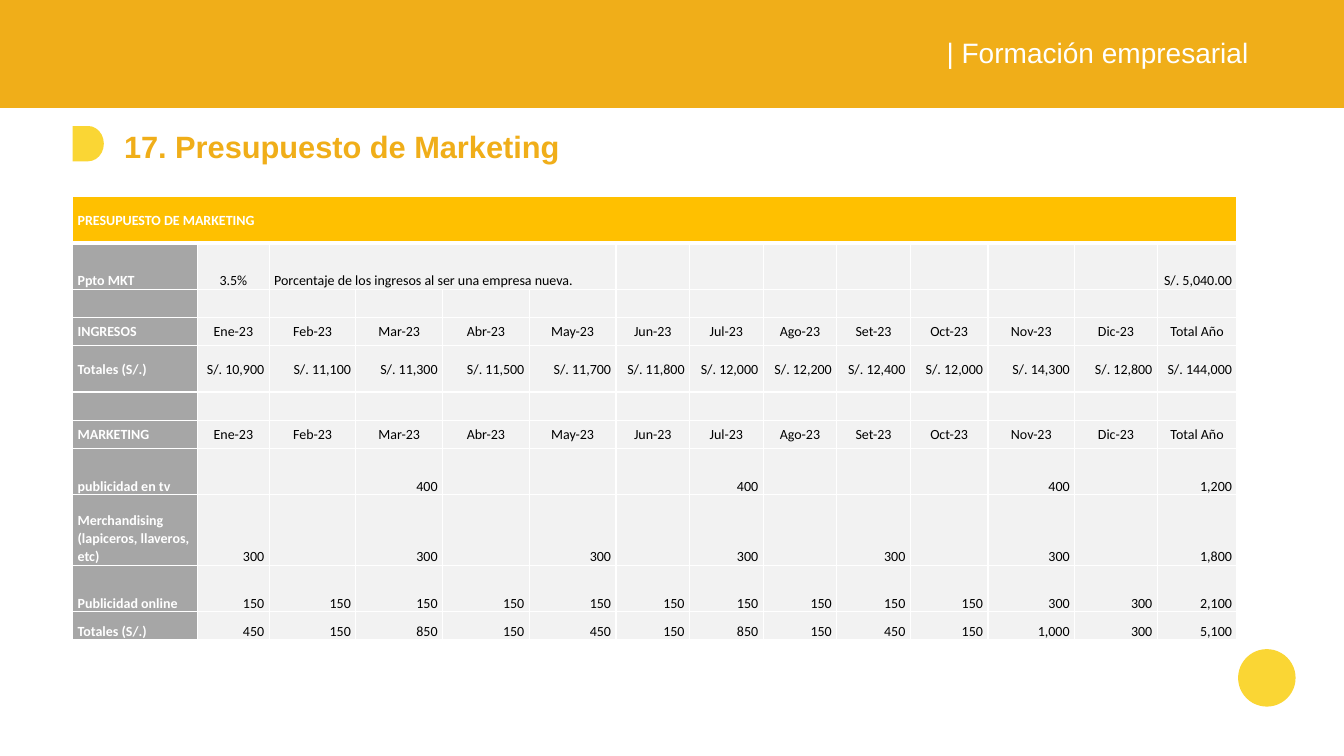
from dataclasses import dataclass, field

from lxml import etree
from pptx import Presentation
from pptx import util as u
from pptx.dml.color import RGBColor
from pptx.enum import shapes, text
from pptx.oxml import ns

LEFT, CENTER, RIGHT = text.PP_ALIGN.LEFT, text.PP_ALIGN.CENTER, text.PP_ALIGN.RIGHT
MIDDLE, BOTTOM = text.MSO_ANCHOR.MIDDLE, text.MSO_ANCHOR.BOTTOM


@dataclass(frozen=True)
class Theme:
    orange: str = "F0AE19"
    yellow: str = "FAD634"
    gold: str = "FFC000"
    gray: str = "A6A6A6"
    light: str = "F2F2F2"
    white: str = "FFFFFF"
    black: str = "000000"
    heading_font: str = "Arial"
    table_font: str = "Calibri"
    title_size: int = 22
    header_size: int = 20
    table_size: int = 10
    thin: int = 1
    thick: int = 3


@dataclass(frozen=True)
class Block:
    kind: shapes.MSO_SHAPE
    left: float
    top: float
    width: float
    height: float
    color: str


@dataclass(frozen=True)
class BudgetRow:
    label: str = ""
    values: tuple[str, ...] = ("",) * 13
    height: float = 0.28
    align: text.PP_ALIGN = RIGHT
    anchor: text.MSO_ANCHOR = BOTTOM
    special: dict[int, text.PP_ALIGN] = field(default_factory=dict)


T = Theme()
BLOCKS = (
    Block(shapes.MSO_SHAPE.RECTANGLE, 0, -0.02, 13.33, 1.09, T.orange),
    Block(shapes.MSO_SHAPE.OVAL, 12.28, 6.44, 0.57, 0.57, T.yellow),
    Block(shapes.MSO_SHAPE.FLOWCHART_DELAY, 0.72, 1.25, 0.31, 0.35, T.yellow),
)
MONTHS = ("Ene", "Feb", "Mar", "Abr", "May", "Jun", "Jul", "Ago", "Set", "Oct", "Nov", "Dic")
HEADINGS = tuple(f"{month}-23" for month in MONTHS) + ("Total Año",)
INCOME = (10900, 11100, 11300, 11500, 11700, 11800, 12000, 12200, 12400, 12000, 14300, 12800)
TV = (0, 0, 400, 0, 0, 0, 400, 0, 0, 0, 400, 0)
MERCHANDISING = (300, 0) * 6
ONLINE = (150,) * 10 + (300, 300)
TOTALS = tuple(map(sum, zip(TV, MERCHANDISING, ONLINE)))
COLUMNS = (1.24, 0.71) + (0.86,) * 4 + (0.73,) * 4 + (0.77, 0.86, 0.82, 0.79)


def amounts(months: tuple[int, ...], prefix: str = "") -> tuple[str, ...]:
    return tuple(f"{prefix}{n:,}" if n else "" for n in (*months, sum(months)))


ROWS = (
    BudgetRow("PRESUPUESTO DE MARKETING", height=0.46, anchor=MIDDLE),
    BudgetRow(
        "Ppto MKT",
        ("3.5%", "Porcentaje de los ingresos al ser una empresa nueva.")
        + ("",) * 10 + ("S/. 5,040.00",),
        height=0.46,
        special={1: CENTER, 2: LEFT},
    ),
    BudgetRow(),
    BudgetRow("INGRESOS", HEADINGS, align=CENTER, anchor=MIDDLE),
    BudgetRow("Totales (S/.)", amounts(INCOME, "S/. "), 0.46, anchor=MIDDLE),
    BudgetRow(),
    BudgetRow("MARKETING", HEADINGS, align=CENTER, anchor=MIDDLE),
    BudgetRow("publicidad en tv", amounts(TV), 0.46),
    BudgetRow("Merchandising (lapiceros, llaveros, etc)", amounts(MERCHANDISING), 0.7),
    BudgetRow("Publicidad online", amounts(ONLINE), 0.46),
    BudgetRow("Totales (S/.)", amounts(TOTALS)),
)


def style_run(r, font: str, size: int, color: str, bold: bool = False) -> None:
    r.font.name = font
    r.font.size = u.Pt(size)
    r.font.bold = bold
    r.font.color.rgb = RGBColor.from_string(color)


def add_block(s, block: Block) -> None:
    sp = s.shapes.add_shape(
        block.kind, *map(u.Inches, (block.left, block.top, block.width, block.height))
    )
    sp.shadow.inherit = False
    sp.fill.solid()
    sp.fill.fore_color.rgb = RGBColor.from_string(block.color)
    sp.line.fill.background()


def set_borders(cell, top: int, bottom: int) -> None:
    tcPr = cell._tc.get_or_add_tcPr()
    widths = {"lnL": T.thin, "lnR": T.thin, "lnT": top, "lnB": bottom}
    for i, (tag, width) in enumerate(widths.items()):
        ln = etree.Element(ns.qn(f"a:{tag}"), w=str(u.Pt(width)))
        fill = etree.SubElement(ln, ns.qn("a:solidFill"))
        etree.SubElement(fill, ns.qn("a:srgbClr"), val=T.white)
        tcPr.insert(i, ln)


def fill_cell(cell, content: str, row: BudgetRow, align: text.PP_ALIGN,
              fill: str, color: str) -> None:
    cell.fill.solid()
    cell.fill.fore_color.rgb = RGBColor.from_string(fill)
    cell.margin_left = cell.margin_right = u.Inches(0.05)
    cell.margin_top = cell.margin_bottom = 0
    cell.vertical_anchor = row.anchor
    p = cell.text_frame.paragraphs[0]
    p.text = content
    p.alignment = align
    p.line_spacing = 1.07
    p.space_after = u.Pt(8)
    for r in p.runs:
        style_run(r, T.table_font, T.table_size, color, color == T.white)
    if not content:
        etree.SubElement(p._p, ns.qn("a:endParaRPr"), sz=str(T.table_size * 100))


def add_budget(s) -> None:
    frame = s.shapes.add_table(
        len(ROWS), len(COLUMNS), u.Inches(0.72), u.Inches(1.95),
        u.Inches(sum(COLUMNS)), u.Inches(sum(row.height for row in ROWS)),
    )
    table = frame.table
    table.first_row = table.horz_banding = False
    for column, width in zip(table.columns, COLUMNS):
        column.width = u.Inches(width)
    for i, row in enumerate(ROWS):
        table.rows[i].height = u.Inches(row.height)
        for j, content in enumerate((row.label, *row.values)):
            is_label = j == 0
            align = LEFT if is_label else row.special.get(j, row.align)
            fill = T.gold if i == 0 else T.gray if is_label else T.light
            cell = table.cell(i, j)
            fill_cell(cell, content, row, align, fill, T.white if is_label else T.black)
            set_borders(cell, T.thick if i == 1 else T.thin, T.thick if i == 0 else T.thin)
    table.cell(0, 0).merge(table.cell(0, len(COLUMNS) - 1))
    table.cell(1, 2).merge(table.cell(1, 5))


def add_title(s) -> None:
    sp = s.shapes.title
    sp.left, sp.top, sp.width, sp.height = map(u.Inches, (1.03, 1.17, 7.39, 0.7))
    tf = sp.text_frame
    tf.text = "17. Presupuesto de Marketing"
    tf.auto_size = text.MSO_AUTO_SIZE.NONE
    tf.word_wrap = True
    tf.vertical_anchor = text.MSO_ANCHOR.TOP
    tf.margin_left = u.Inches(0.2)
    tf.margin_right = tf.margin_top = tf.margin_bottom = u.Inches(0.1)
    p = tf.paragraphs[0]
    p.alignment = LEFT
    style_run(p.runs[0], T.heading_font, T.title_size, T.orange, True)


def add_header(s) -> None:
    tf = s.shapes.add_textbox(*map(u.Inches, (9.29, 0.3, 3.9, 0.77))).text_frame
    tf.word_wrap = True
    tf.text = "| Formación empresarial"
    style_run(tf.paragraphs[0].runs[0], T.heading_font, T.header_size, T.white)


def main() -> None:
    prs = Presentation()
    prs.slide_width, prs.slide_height = u.Inches(13.33), u.Inches(7.5)
    s = prs.slides.add_slide(prs.slide_layouts[5])
    for block in BLOCKS:
        add_block(s, block)
    add_header(s)
    add_title(s)
    add_budget(s)
    prs.save("out.pptx")


if __name__ == "__main__":
    main()
